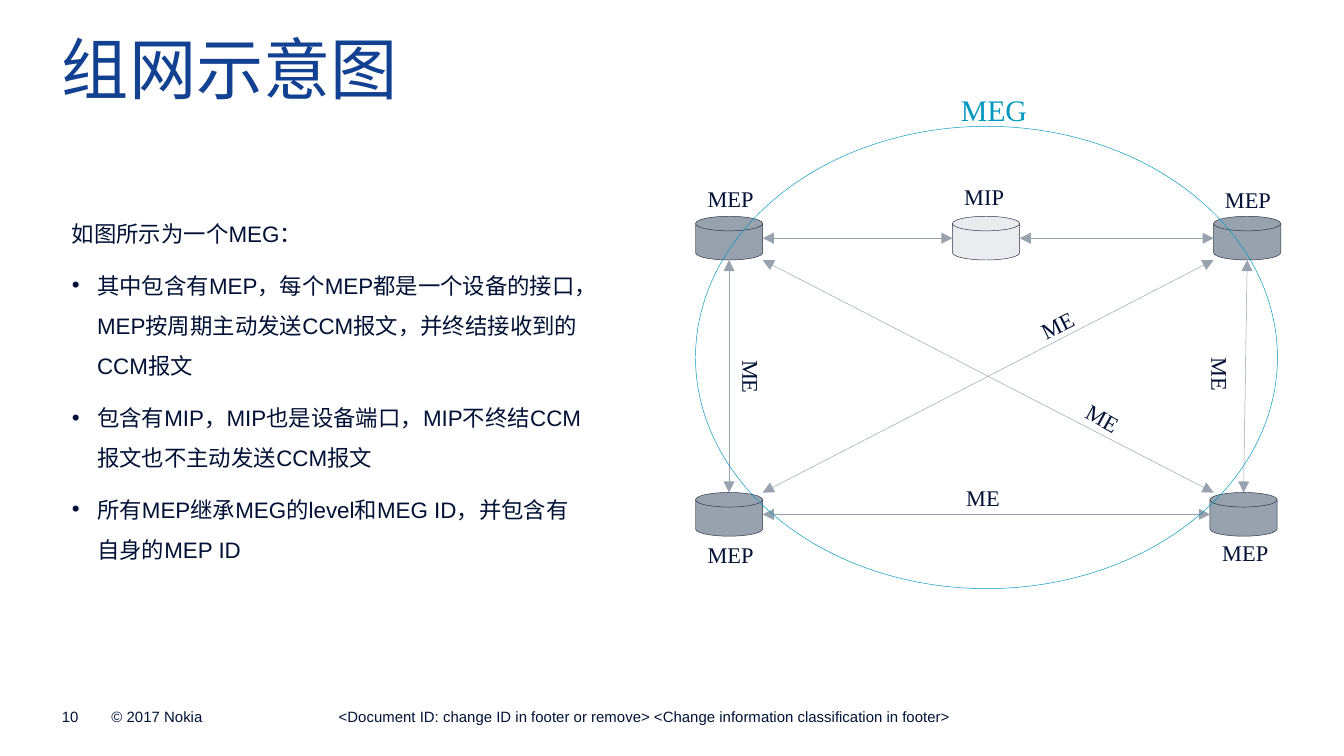
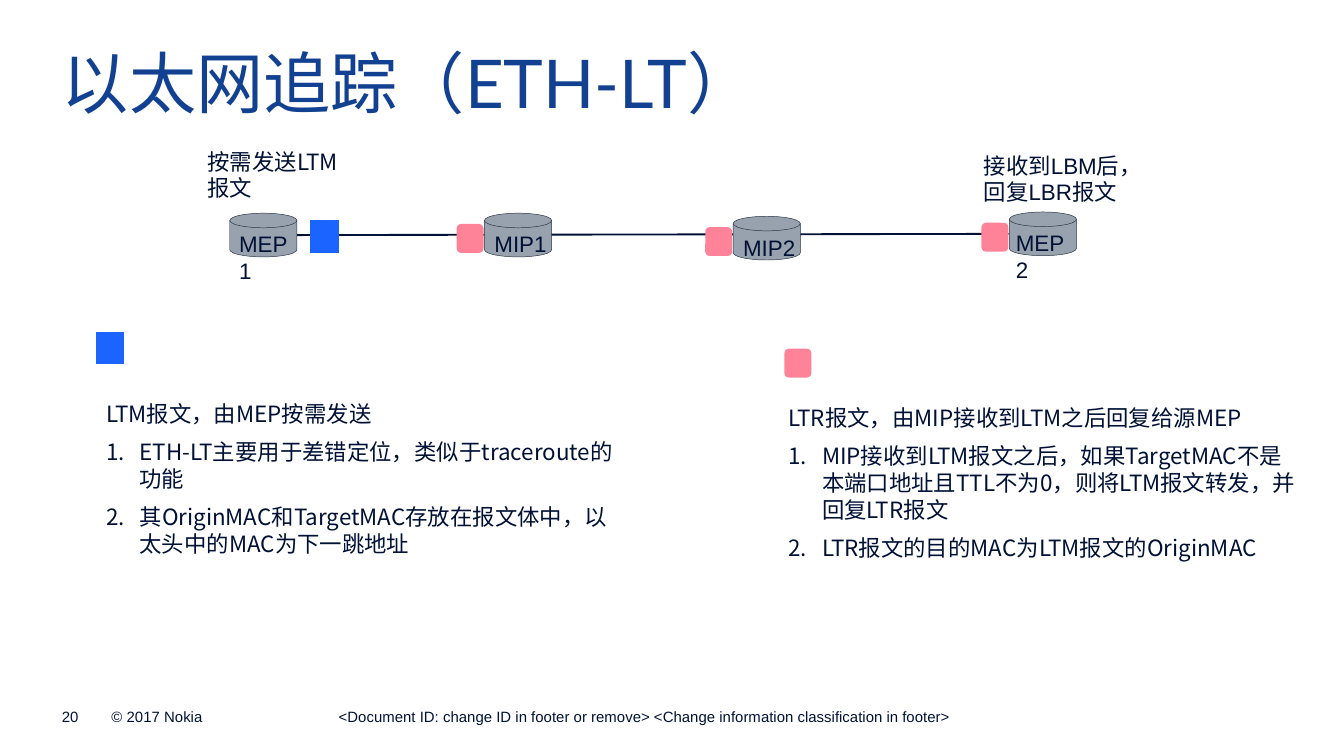
from dataclasses import dataclass
from enum import IntEnum
from typing import Any, NamedTuple, Optional

from pptx import Presentation
from pptx.dml.color import RGBColor
from pptx.enum.shapes import MSO_CONNECTOR, MSO_SHAPE
from pptx.enum.text import MSO_ANCHOR, MSO_AUTO_SIZE
from pptx.oxml.ns import qn
from pptx.shapes.autoshape import Shape
from pptx.slide import Slide
from pptx.util import Emu, Inches, Pt
from lxml.etree import SubElement

CELL = Inches(0.1)
COLUMNS, ROWS = 100, 56.25


@dataclass(frozen=True)
class Theme:
    navy: str = "001135"
    heading: str = "124191"
    steel: str = "98A2AE"
    pale: str = "EAECEF"
    outline: str = "273142"
    teal: str = "0097BF"
    blue: str = "1B64FF"
    pink: str = "FF8398"
    title_font: str = "Lato"
    sans: str = "Arial"
    serif: str = "Times New Roman"
    cjk: str = "Noto Sans CJK SC"
    title_size: float = 36
    group_size: float = 16
    body_size: float = 12
    footer_size: float = 8
    hairline: float = 0.25
    trunk: float = 1


THEME = Theme()


class Box(NamedTuple):
    col: float
    row: float
    cols: float
    rows: float


class Side(IntEnum):
    TOP = 0
    LEFT = 1
    BOTTOM = 2
    RIGHT = 3


class Node(NamedTuple):
    col: float
    row: float
    fill: str = THEME.steel


class Joint(NamedTuple):
    start: str
    start_side: Side
    end: str
    end_side: Side


class Tag(NamedTuple):
    text: str
    box: Box
    turn: float = 270
    color: str = THEME.navy
    size: float = THEME.body_size


class Hop(NamedTuple):
    name: str
    node: Node
    label_col: float
    replies: bool = True


class Legend(NamedTuple):
    box: Box
    lines: list[str]


class Marker(NamedTuple):
    tag: str
    attributes: dict[str, str]
    indent: float
    font: str


DISK_COLS, DISK_ROWS = 5, 3.25
REQUEST_COLS, REQUEST_ROWS = 2.1, 2.4
REPLY_COLS, REPLY_ROWS = 2, 2.15
PADDING = 0.79

BULLET = Marker("buChar", {"char": "•"}, 1.88, THEME.sans)
NUMBER = Marker("buAutoNum", {"type": "arabicPeriod"}, 2.5, THEME.cjk)


def cells(count: float) -> Emu:
    return Emu(round(count * CELL))


def assign(target: Any, values: dict[str, Any]) -> None:
    for name, value in values.items():
        setattr(target, name, value)


def rgb(color: str) -> RGBColor:
    return RGBColor.from_string(color)


def add_text(slide: Slide, box: Box, lines: list[str], font: str = THEME.sans,
             size: float = THEME.body_size, color: str = THEME.navy,
             padding: float = PADDING, grow: bool = True,
             marker: Optional[Marker] = None,
             spacing: Optional[dict[str, Any]] = None,
             anchor: MSO_ANCHOR = MSO_ANCHOR.TOP) -> Shape:
    holder = slide.shapes.add_textbox(*map(cells, box))
    frame = holder.text_frame
    inset = cells(padding)
    assign(frame, {
        "word_wrap": True,
        "auto_size": MSO_AUTO_SIZE.SHAPE_TO_FIT_TEXT if grow else MSO_AUTO_SIZE.NONE,
        "vertical_anchor": anchor,
        "margin_left": inset, "margin_right": inset,
        "margin_top": inset, "margin_bottom": inset,
    })
    for index, line in enumerate(lines):
        paragraph = frame.add_paragraph() if index else frame.paragraphs[0]
        assign(paragraph, spacing or {})
        if marker and index:
            properties = paragraph._p.get_or_add_pPr()
            properties.set("marL", str(cells(marker.indent)))
            properties.set("indent", str(-cells(marker.indent)))
            SubElement(properties, qn("a:buFont"), {"typeface": marker.font})
            SubElement(properties, qn(f"a:{marker.tag}"), marker.attributes)
        run = paragraph.add_run()
        run.text = line
        assign(run.font, {"name": font, "size": Pt(size)})
        run.font.color.rgb = rgb(color)
    return holder


def add_figure(slide: Slide, kind: MSO_SHAPE, box: Box, fill: Optional[str] = None,
               outline: Optional[str] = None) -> Shape:
    figure = slide.shapes.add_shape(kind, *map(cells, box))
    figure.shadow.inherit = False
    if fill:
        figure.fill.solid()
        figure.fill.fore_color.rgb = rgb(fill)
    else:
        figure.fill.background()
    if outline:
        figure.line.color.rgb = rgb(outline)
        figure.line.width = Pt(THEME.hairline)
    else:
        figure.line.fill.background()
    return figure


def add_disk(slide: Slide, node: Node) -> Shape:
    return add_figure(slide, MSO_SHAPE.FLOWCHART_MAGNETIC_DISK,
                      Box(node.col, node.row, DISK_COLS, DISK_ROWS),
                      node.fill, THEME.outline)


def add_arrow(slide: Slide, ends: tuple[float, float, float, float], color: str,
              width: float, heads: tuple[str, ...]) -> Any:
    arrow = slide.shapes.add_connector(MSO_CONNECTOR.STRAIGHT, *map(cells, ends))
    arrow.line.color.rgb = rgb(color)
    arrow.line.width = Pt(width)
    properties = arrow.element.spPr
    for head in heads:
        SubElement(properties.find(qn("a:ln")), qn(f"a:{head}"), {"type": "triangle"})
    SubElement(properties, qn("a:effectLst"))
    return arrow


def join(arrow: Any, disks: dict[str, Shape], joint: Joint) -> None:
    arrow.begin_connect(disks[joint.start], joint.start_side)
    arrow.end_connect(disks[joint.end], joint.end_side)
    for site, side in (("stCxn", joint.start_side), ("endCxn", joint.end_side)):
        arrow.element.find(f".//{qn('a:' + site)}").set("idx", str(side + 1))


def add_tag(slide: Slide, tag: Tag) -> None:
    label = add_text(slide, tag.box, [tag.text], THEME.serif, tag.size, tag.color)
    label.rotation = tag.turn
    label.text_frame._txBody.bodyPr.set("vert", "vert")


def add_page(deck: Any, title: str, title_row: float, number: int) -> Slide:
    slide = deck.slides.add_slide(deck.slide_layouts[6])
    add_text(slide, Box(4.6, title_row, 90.9, 5.8), [title], THEME.title_font,
             THEME.title_size, THEME.heading, padding=0, grow=False)
    footers = (
        (8.3, 19.7, "© 2017 Nokia"),
        (4.6, 2.8, str(number)),
        (25.2, 49.6, "<Document ID: change ID in footer or remove> "
                     "<Change information classification in footer>"),
    )
    for col, cols, text in footers:
        add_text(slide, Box(col, 52.7, cols, 1.3), [text], size=THEME.footer_size,
                 padding=0, grow=False, anchor=MSO_ANCHOR.BOTTOM)
    return slide


MESH_NODES = {
    "north west": Node(51.75, 16.1),
    "south west": Node(51.75, 36.65),
    "middle": Node(70.87, 16.1, THEME.pale),
    "north east": Node(90.3, 16.1),
    "south east": Node(90.03, 36.65),
}
MESH_JOINTS = (
    Joint("middle", Side.RIGHT, "north east", Side.LEFT),
    Joint("north west", Side.RIGHT, "middle", Side.LEFT),
    Joint("north west", Side.BOTTOM, "south west", Side.TOP),
    Joint("south west", Side.RIGHT, "south east", Side.LEFT),
    Joint("north east", Side.BOTTOM, "south east", Side.TOP),
)
DIAGONALS = ((90.3, 36.65, 56.75, 19.35), (56.75, 36.65, 90.3, 19.35))
MESH_TAGS = (
    *(Tag("ME", Box(col, row, 3.6, 4.4), turn) for col, row, turn in (
        (54.1, 26, 0), (89, 25.8, 0), (71.5, 34.85, 270),
        (77, 21.9, 243.5), (80.4, 29, 299.2))),
    Tag("MEG", Box(72.6, 4.1, 4.3, 8.1), color=THEME.teal, size=THEME.group_size),
    *(Tag(text, Box(col, row, 3.6, 5.1)) for text, col, row in (
        ("MEP", 91.1, 12.3), ("MEP", 52.6, 12.25), ("MEP", 52.6, 38.75),
        ("MEP", 90.9, 38.55), ("MIP", 71.7, 12.1))),
)
MESH_NOTES = [
    "如图所示为一个MEG：",
    "其中包含有MEP，每个MEP都是一个设备的接口，MEP按周期主动发送CCM报文，并终结接收到的CCM报文",
    "包含有MIP，MIP也是设备端口，MIP不终结CCM报文也不主动发送CCM报文",
    "所有MEP继承MEG的level和MEG ID，并包含有自身的MEP ID",
]

HOPS = (
    Hop("MEP1", Node(17.1, 15.87), 17, replies=False),
    Hop("MIP1", Node(36.05, 15.87), 36),
    Hop("MIP2", Node(54.55, 16.1), 54.5),
    Hop("MEP2", Node(75.1, 15.78), 74.8),
)
TRACE_LEGENDS = (
    Legend(Box(7.1, 29, 39.5, 13.4), [
        "LTM报文，由MEP按需发送",
        "ETH-LT主要用于差错定位，类似于traceroute的功能",
        "其OriginMAC和TargetMAC存放在报文体中，以太头中的MAC为下一跳地址",
    ]),
    Legend(Box(57.87, 29.3, 39.5, 13.4), [
        "LTR报文，由MIP接收到LTM之后回复给源MEP",
        "MIP接收到LTM报文之后，如果TargetMAC不是本端口地址且TTL不为0，则将LTM报文转发，并回复LTR报文",
        "LTR报文的目的MAC为LTM报文的OriginMAC",
    ]),
)


def build_mesh(deck: Any) -> None:
    slide = add_page(deck, "组网示意图", 2, 10)
    disks = {name: add_disk(slide, node) for name, node in MESH_NODES.items()}
    both = ("headEnd", "tailEnd")
    for joint in MESH_JOINTS:
        join(add_arrow(slide, (0, 0, 1, 1), THEME.steel, THEME.hairline, both), disks, joint)
    for ends in DIAGONALS:
        add_arrow(slide, ends, THEME.steel, THEME.hairline, both)
    add_figure(slide, MSO_SHAPE.OVAL, Box(51.75, 9.4, 43.3, 34.4), outline=THEME.teal)
    for tag in MESH_TAGS:
        add_tag(slide, tag)
    add_text(slide, Box(4.55, 14.6, 39.8, 28.3), MESH_NOTES, marker=BULLET,
             spacing={"line_spacing": 1.5, "space_after": Pt(6)})


def add_request(slide: Slide, col: float, row: float) -> None:
    add_figure(slide, MSO_SHAPE.FLOWCHART_PROCESS,
               Box(col, row, REQUEST_COLS, REQUEST_ROWS), THEME.blue)


def add_reply(slide: Slide, col: float, row: float) -> None:
    add_figure(slide, MSO_SHAPE.ROUNDED_RECTANGLE,
               Box(col, row, REPLY_COLS, REPLY_ROWS), THEME.pink)


def build_trace(deck: Any) -> None:
    slide = add_page(deck, "以太网追踪（ETH-LT）", 3.1, 20)
    trunk = add_arrow(slide, (0, 0, 1, 1), THEME.navy, THEME.trunk, ("tailEnd",))
    disks = {hop.name: add_disk(slide, hop.node) for hop in HOPS}
    join(trunk, disks, Joint("MEP1", Side.RIGHT, "MEP2", Side.LEFT))
    for hop in HOPS:
        add_text(slide, Box(hop.label_col, hop.node.row + 0.5, 6, 3.6), [hop.name])
        if hop.replies:
            add_reply(slide, hop.node.col - 2.07, hop.node.row + 0.8)
    add_text(slide, Box(14.65, 10.2, 12.6, 5.6), ["按需发送LTM报文"], THEME.cjk)
    add_text(slide, Box(72.4, 10.5, 13.5, 5.6), ["接收到LBM后，回复LBR报文"])
    add_request(slide, 23.1, 16.4)
    add_request(slide, 7.15, 24.72)
    add_reply(slide, 58.37, 25.95)
    for legend in TRACE_LEGENDS:
        add_text(slide, legend.box, legend.lines, THEME.cjk, marker=NUMBER,
                 spacing={"space_after": Pt(6)})


def main() -> None:
    deck = Presentation()
    assign(deck, {"slide_width": cells(COLUMNS), "slide_height": cells(ROWS)})
    build_mesh(deck)
    build_trace(deck)
    deck.save("out.pptx")


if __name__ == "__main__":
    main()
